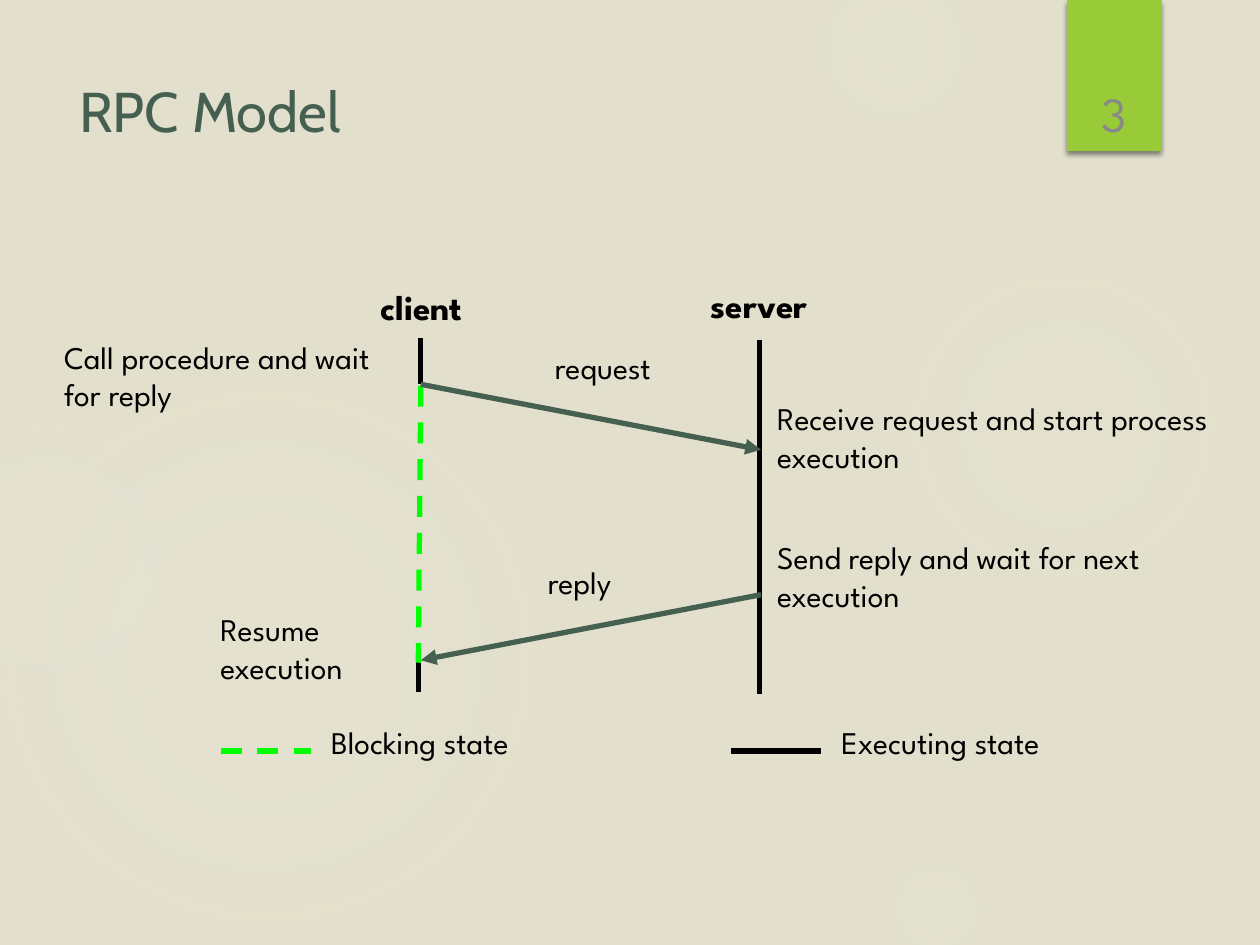
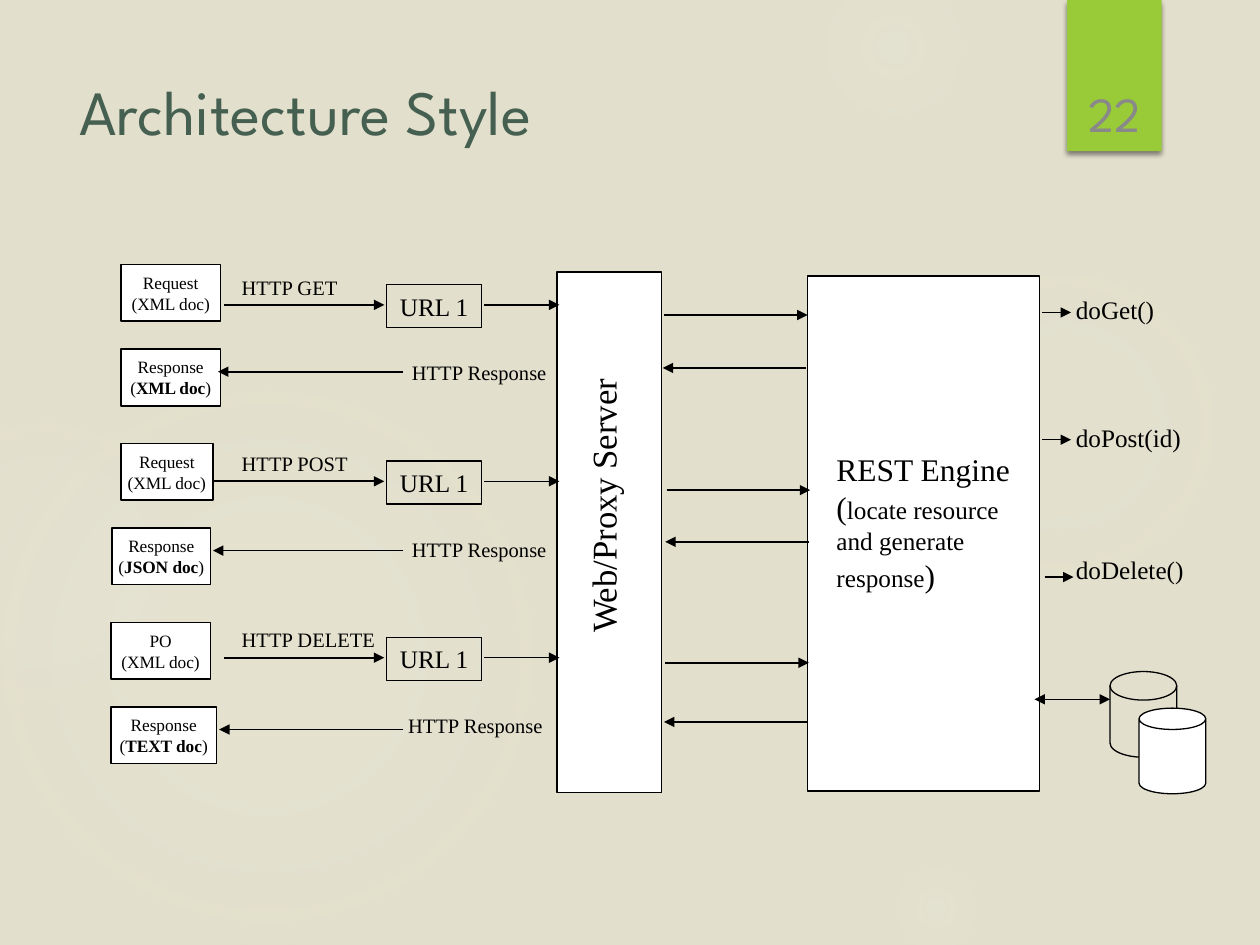
import pptx
import pptx.dml.color
import pptx.enum.dml
import pptx.enum.shapes
import pptx.enum.text
import pptx.oxml
import pptx.oxml.ns
import pptx.util

COLUMNS, ROWS = 10, 7.5
SLIDE_WIDTH = pptx.util.Inches(10)
CELL = SLIDE_WIDTH // COLUMNS

COLORS = {
    "background": "E2DFCC",
    "glow": "F3F2EB",
    "band": "99CB38",
    "title": "455F51",
    "number": "898989",
    "ink": "000000",
    "paper": "FFFFFF",
    "blocking": "00FF00",
}
SPARTAN, CABIN, TIMES = "League Spartan", "Cabin", "Times New Roman"
SHAPES = pptx.enum.shapes.MSO_SHAPE
ALIGN = pptx.enum.text.PP_ALIGN
ANCHOR = pptx.enum.text.MSO_ANCHOR

GLOWS = [
    (6.89, 1.83, 3.08, [(0, 7), (36, 6), (69, 0)]),
    (6.22, -0.5, 1.75, [(0, 14), (36, 7), (73, 0)]),
    (6.89, 6.67, 1.08, [(0, 14), (36, 7), (66, 0)]),
    (-0.17, 2.92, 4.58, [(0, 11), (36, 10), (75, 0)]),
    (-0.92, 3.17, 2.58, [(0, 8), (36, 8), (72, 0)]),
]

REQUEST_PITCH, DOCUMENT_PITCH = 1.4, 1.42
EXCHANGES = [
    dict(method="GET", source="Request", request=(0.96, 0.79), start=1.78,
         reply="XML", response=(0.96, 0.79), tip=1.73, reply_label=3.17),
    dict(method="POST", source="Request", request=(0.96, 0.73), start=1.69,
         reply="JSON", response=(0.89, 0.78), tip=1.69, reply_label=3.17),
    dict(method="DELETE", source="PO", request=(0.88, 0.79), start=1.78,
         reply="TEXT", response=(0.88, 0.84), tip=1.74, reply_label=3.14),
]
ENGINE_CALLS = [(5.27, 2.5, 2.92), (5.29, 3.89, 4.3), (5.28, 5.26, 5.73)]
HANDLERS = [
    ("doGet()", 8.27, 2.48, 2.29, 0.83),
    ("doPost(id)", 8.27, 3.49, 3.3, 1.05),
    ("doDelete()", 8.29, 4.58, 4.35, 1.06),
]


def cells(*counts):
    return [round(count * CELL) for count in counts]


def rgb(name):
    return pptx.dml.color.RGBColor.from_string(COLORS[name])


def xml(markup):
    return pptx.oxml.parse_xml(
        markup.replace(" ", f" {pptx.oxml.ns.nsdecls('a')} ", 1))


def write(holder, content, size=18, font=SPARTAN, color="ink", bold=False,
          align=ALIGN.LEFT, anchor=ANCHOR.TOP, wrap=True):
    frame = holder.text_frame
    frame.word_wrap = wrap
    frame.vertical_anchor = anchor
    for index, runs in enumerate([content] if isinstance(content, str) else content):
        paragraph = frame.add_paragraph() if index else frame.paragraphs[0]
        paragraph.alignment = align
        for piece in [(runs, {})] if isinstance(runs, str) else runs:
            words, changes = piece
            run = paragraph.add_run()
            run.text = words
            run.font.name = font
            run.font.size = pptx.util.Pt(changes.get("size", size))
            run.font.bold = changes.get("bold", bold)
            run.font.color.rgb = rgb(color)


def label(slide, content, area, **text_format):
    holder = slide.shapes.add_textbox(*cells(*area))
    write(holder, content, **text_format)
    return holder


def block(slide, kind, area, fill=None, line=None):
    shape = slide.shapes.add_shape(kind, *cells(*area))
    shape.shadow.inherit = False
    if fill:
        shape.fill.solid()
        shape.fill.fore_color.rgb = rgb(fill)
    else:
        shape.fill.background()
    if line:
        shape.line.color.rgb = rgb("ink")
        shape.line.width = pptx.util.Pt(line)
    else:
        shape.line.fill.background()
    return shape


def link(slide, start, end, color="ink", width=1, dashed=False, head=False, tail=False):
    connector = slide.shapes.add_connector(
        pptx.enum.shapes.MSO_CONNECTOR.STRAIGHT, *cells(*start, *end))
    connector.line.color.rgb = rgb(color)
    connector.line.width = pptx.util.Pt(width)
    if dashed:
        connector.line.dash_style = pptx.enum.dml.MSO_LINE.DASH
    properties = connector._element.spPr
    outline = properties.find(pptx.oxml.ns.qn("a:ln"))
    for tag, wanted in (("headEnd", head), ("tailEnd", tail)):
        if wanted:
            outline.append(xml(f'<a:{tag} type="triangle"/>'))
    properties.append(xml("<a:effectLst />"))


def glow(slide, left, top, diameter, stops):
    circle = block(slide, SHAPES.OVAL, (left, top, diameter, diameter))
    marks = "".join(
        f'<a:gs pos="{position * 1000}"><a:srgbClr val="{COLORS["glow"]}">'
        f'<a:alpha val="{opacity * 1000}"/></a:srgbClr></a:gs>'
        for position, opacity in stops)
    gradient = xml(
        f'<a:gradFill rotWithShape="1"><a:gsLst>{marks}</a:gsLst>'
        '<a:path path="circle"><a:fillToRect l="50000" t="50000" r="50000" b="50000"/>'
        '</a:path></a:gradFill>')
    properties = circle._element.spPr
    properties.replace(properties.find(pptx.oxml.ns.qn("a:noFill")), gradient)


def number_band(slide, number):
    band = block(slide, SHAPES.RECTANGLE, (8.47, 0, 0.75, 1.2), fill="band")
    effects = band._element.spPr.find(pptx.oxml.ns.qn("a:effectLst"))
    effects.append(xml(
        f'<a:outerShdw blurRad="{pptx.util.Pt(3)}" dist="{pptx.util.Pt(2)}" dir="5400000">'
        f'<a:srgbClr val="{COLORS["ink"]}"><a:alpha val="45000"/></a:srgbClr></a:outerShdw>'))
    label(slide, str(number), (8.47, 0.6, 0.75, 0.6), size=28, color="number",
          align=ALIGN.CENTER, anchor=ANCHOR.MIDDLE, wrap=False)


def start_slide(presentation, title, number, **title_format):
    slide = presentation.slides.add_slide(presentation.slide_layouts[6])
    for spot in GLOWS:
        glow(slide, *spot)
    number_band(slide, number)
    label(slide, title, (0.53, 0.5, 7.72, 0.75), color="title",
          anchor=ANCHOR.MIDDLE, **title_format)
    return slide


def document(slide, span, top, content):
    left, width = span
    sheet = block(slide, SHAPES.RECTANGLE, (left, top, width, 0.45), fill="paper", line=1)
    write(sheet, content, size=9.9, font=TIMES, align=ALIGN.CENTER,
          anchor=ANCHOR.MIDDLE, wrap=False)


def rpc_model(presentation):
    slide = start_slide(presentation, "RPC Model", 3, size=32, font=CABIN)
    for role, left, top in (("client", 2.64, 2.22), ("server", 5.32, 2.2)):
        label(slide, role, (left, top, 1.41, 0.44), size=20, bold=True, align=ALIGN.CENTER)
    for start, end in (
        ((6.03, 2.7), (6.03, 5.51)),
        ((3.34, 2.68), (3.34, 3.05)),
        ((3.32, 5.25), (3.32, 5.49)),
    ):
        link(slide, start, end, width=3)
    link(slide, (3.34, 3.06), (3.32, 5.26), color="blocking", width=3, dashed=True)

    for message, start, end, area in (
        ("request", (3.34, 3.05), (6.04, 3.57), (3.92, 2.71, 1.73, 0.4)),
        ("reply", (6.04, 4.72), (3.34, 5.24), (3.78, 4.42, 1.64, 0.4)),
    ):
        link(slide, start, end, color="title", width=3, tail=True)
        label(slide, message, area, align=ALIGN.CENTER)

    for step, left, top, width in (
        ("Call procedure and wait for reply", 0.41, 2.63, 2.85),
        ("Receive request and start process execution", 6.07, 3.12, 3.76),
        ("Send reply and wait for next execution", 6.07, 4.22, 3.76),
        ("Resume execution", 1.65, 4.79, 1.64),
    ):
        label(slide, step, (left, top, width, 0.71))

    for state, left, color, dashed in (
        ("Blocking state", 1.75, "blocking", True),
        ("Executing state", 5.8, "ink", False),
    ):
        link(slide, (left, 5.96), (left + 0.72, 5.96), color=color, width=3, dashed=dashed)
        label(slide, state, (left + 0.78, 5.69, 2.78, 0.4))


def exchange(slide, row, method, source, request, start, reply, response, tip, reply_label):
    request_shift, document_shift = row * REQUEST_PITCH, row * DOCUMENT_PITCH
    request_y, response_y = 2.42 + request_shift, 2.95 + document_shift
    document(slide, request, 2.1 + document_shift, [source, "(XML doc)"])
    document(slide, response, 2.77 + document_shift,
             ["Response", [("(", {}), (f"{reply} doc", {"bold": True}), (")", {})]])

    link(slide, (start, request_y), (3.05, request_y), tail=True)
    link(slide, (3.2, response_y), (tip, response_y), tail=True)
    for caption, left, top, width in (
        (f"HTTP {method}", 1.82, 2.13, 0.87 + 0.1 * len(method)),
        ("HTTP Response", reply_label, 2.81, 1.28),
    ):
        label(slide, caption, (left, top + request_shift, width, 0.3),
              size=11.7, font=TIMES)

    address = block(slide, SHAPES.RECTANGLE,
                    (3.07, 2.26 + request_shift, 0.75, 0.34), line=0.75)
    write(address, "URL 1", size=14.4, font=TIMES, align=ALIGN.CENTER,
          anchor=ANCHOR.MIDDLE, wrap=False)
    link(slide, (3.84, request_y), (4.44, request_y), width=0.75, tail=True)


def architecture_style(presentation):
    slide = start_slide(presentation, "Architecture Style", 22, size=36)
    block(slide, SHAPES.RECTANGLE, (4.42, 2.16, 0.83, 4.13), fill="paper", line=1)
    proxy = label(slide, "Web/Proxy Server", (3.39, 3.8, 2.79, 0.43), size=19.8,
                  font=TIMES, align=ALIGN.CENTER, wrap=False)
    proxy.rotation = 270
    block(slide, SHAPES.RECTANGLE, (6.41, 2.19, 1.84, 4.09), fill="paper", line=1)
    label(slide,
          ["REST Engine",
           [("(", {}), ("locate resource and generate response", {"size": 14.4}), (")", {})]],
          (6.54, 3.52, 1.59, 1.25), font=TIMES)

    for row, details in enumerate(EXCHANGES):
        exchange(slide, row, **details)
    for left, call_y, return_y in ENGINE_CALLS:
        link(slide, (left, call_y), (left + 1.14, call_y), tail=True)
        link(slide, (left - 0.01, return_y), (left + 1.13, return_y), head=True)
    for handler, left, arrow_y, top, width in HANDLERS:
        link(slide, (left, arrow_y), (left + 0.23, arrow_y), width=0.75, tail=True)
        label(slide, handler, (8.44, top, width, 0.34), size=14.4, font=TIMES, wrap=False)

    block(slide, SHAPES.FLOWCHART_MAGNETIC_DISK, (8.81, 5.33, 0.53, 0.68), line=0.75)
    front_store = block(slide, SHAPES.CAN, (9.04, 5.62, 0.53, 0.68), fill="paper", line=0.75)
    front_store.adjustments[0] = 0.32
    link(slide, (8.21, 5.55), (8.81, 5.55), width=0.75, head=True, tail=True)


def main():
    presentation = pptx.Presentation()
    presentation.slide_width, presentation.slide_height = cells(COLUMNS, ROWS)
    backdrop = presentation.slide_master.background.fill
    backdrop.solid()
    backdrop.fore_color.rgb = rgb("background")
    rpc_model(presentation)
    architecture_style(presentation)
    presentation.save("out.pptx")


if __name__ == "__main__":
    main()
